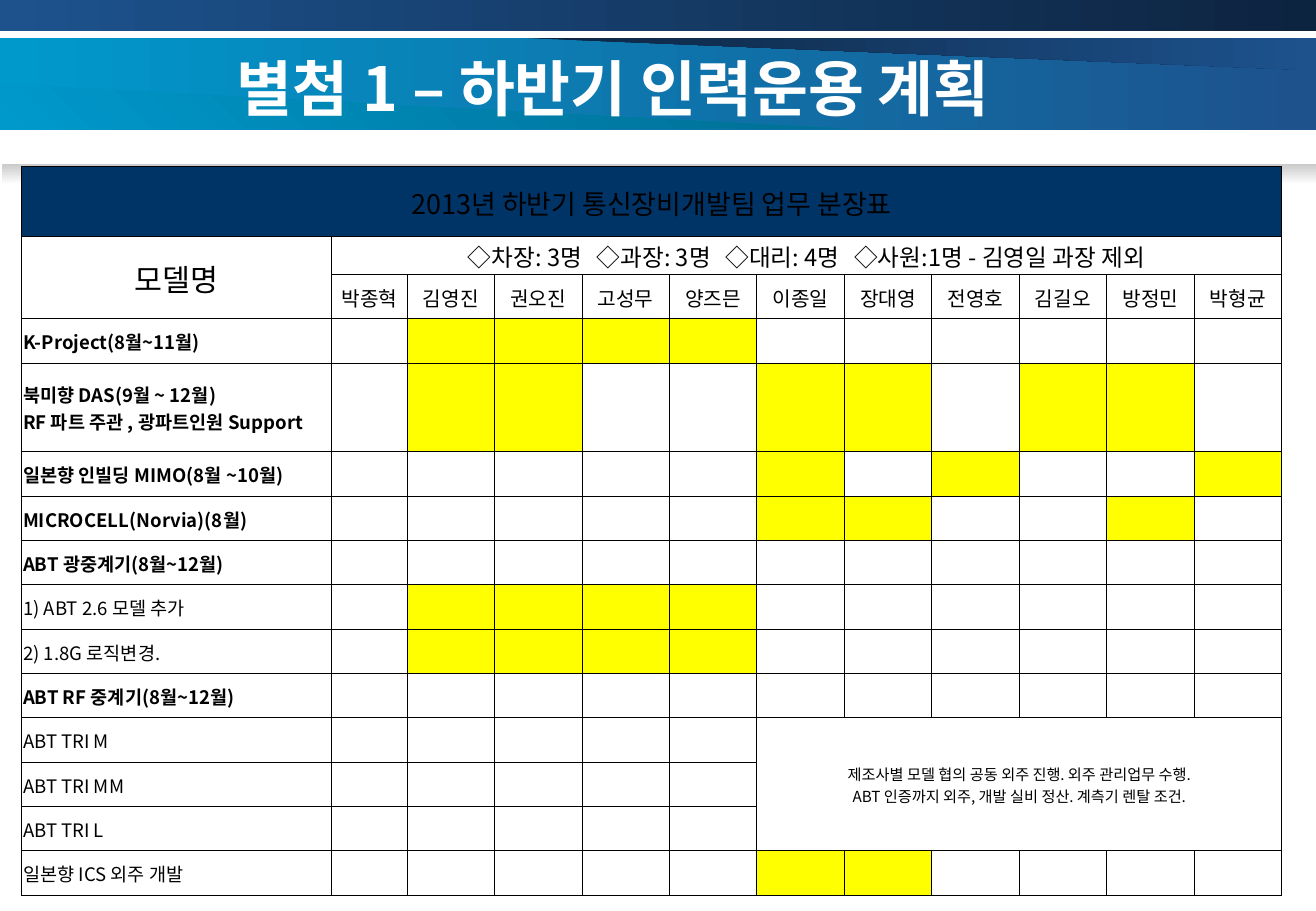
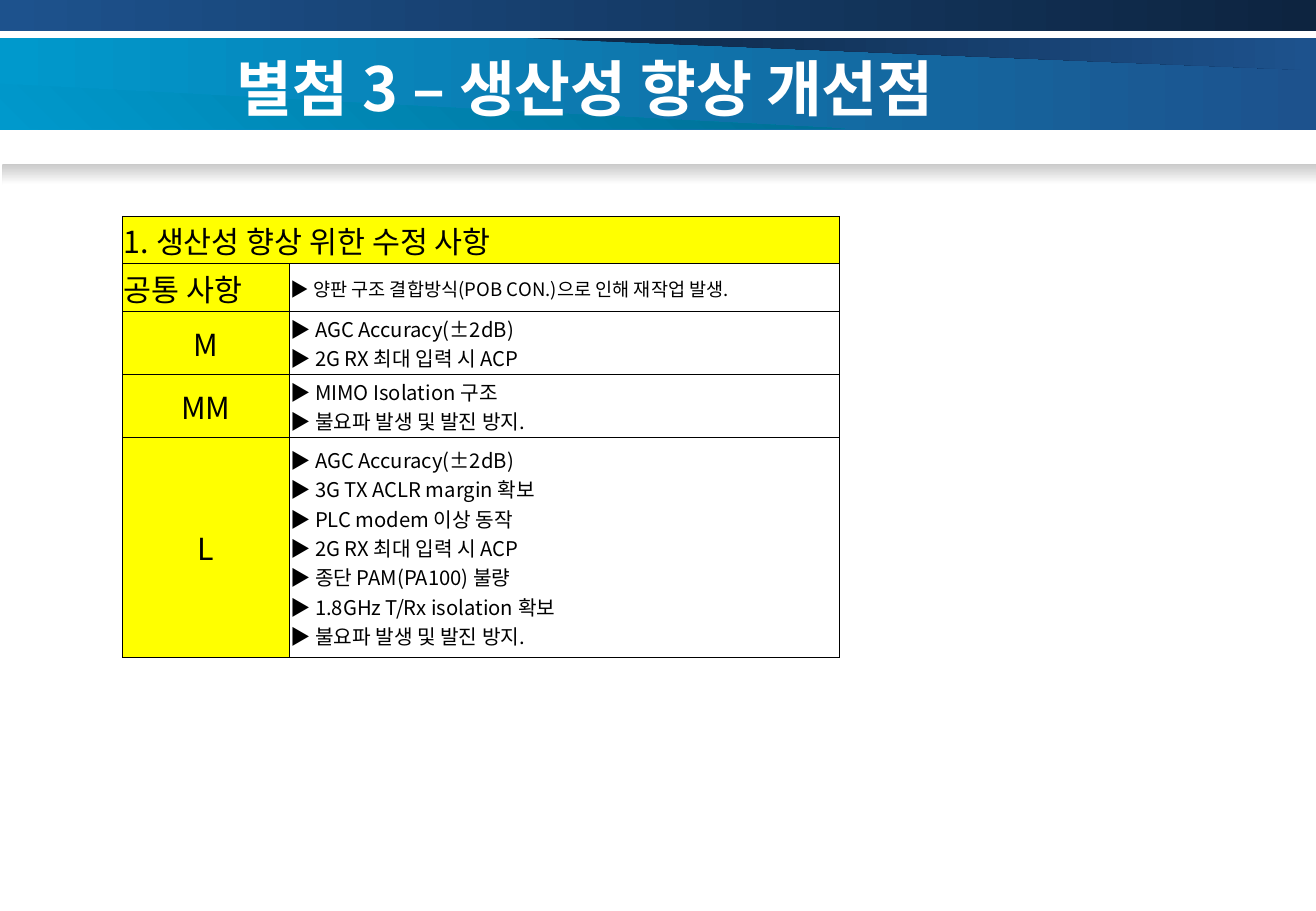
"""Build two appendix slides: a staffing plan and a list of productivity improvements."""
import lxml.etree
import pptx
import pptx.dml.color
import pptx.enum.shapes
import pptx.enum.text
import pptx.oxml.ns
import pptx.util

Inches = pptx.util.Inches
Pt = pptx.util.Pt
qn = pptx.oxml.ns.qn
ALIGN = pptx.enum.text.PP_ALIGN
MIDDLE = pptx.enum.text.MSO_ANCHOR.MIDDLE

FONT = "Noto Sans CJK KR"
COLORS = {
    "white": "FFFFFF", "black": "000000", "yellow": "FFFF00", "navy": "003366",
    "sky": "0099CC", "teal": "006D92", "blue": "1D528D", "night": "0D2440",
    "grey": "CACACA",
}

BANDS = [
    ((0, 0.31, 10.83, 0.76), "sky", "blue", 0),
    ((0, 0, 10.83, 0.26), "blue", "night", 0),
    ((0.02, 1.35, 10.81, 0.17), "grey", "white", 90),
]
WEDGES = [
    ([(4.26, 0.31), (10.83, 0.58), (10.83, 0.31)], "night", "blue", 0),
    ([(0, 0.69), (6.95, 1.06), (0, 1.06)], "sky", "teal", 315),
]

PLAN_TITLE = "별첨 1 – 하반기 인력운용 계획"
PLAN_HEADING = "2013년 하반기 통신장비개발팀 업무 분장표"
RANKS = ["◇차장: 3명", "◇과장: 3명", "◇대리: 4명", "◇사원:1명 - 김영일 과장 제외"]
STAFF = ["박종혁", "김영진", "권오진", "고성무", "양즈믄", "이종일",
         "장대영", "전영호", "김길오", "방정민", "박형균"]
PROJECTS = [
    ("K-Project(8월~11월)", True, "김영진 권오진 고성무 양즈믄"),
    ("북미향 DAS(9월 ~ 12월)\nRF 파트 주관 , 광파트인원 Support", True,
     "김영진 권오진 이종일 장대영 김길오 방정민"),
    ("일본향 인빌딩 MIMO(8월 ~10월)", True, "이종일 전영호 박형균"),
    ("MICROCELL(Norvia)(8월)", True, "이종일 장대영 방정민"),
    ("ABT 광중계기(8월~12월)", True, ""),
    ("1) ABT 2.6 모델 추가", False, "김영진 권오진 고성무 양즈믄"),
    ("2) 1.8G 로직변경.", False, "김영진 권오진 고성무 양즈믄"),
    ("ABT RF 중계기(8월~12월)", True, ""),
    ("ABT TRI M", False, ""),
    ("ABT TRI MM", False, ""),
    ("ABT TRI L", False, ""),
    ("일본향 ICS 외주 개발", False, "이종일 장대영"),
]
OUTSOURCING = ("제조사별 모델 협의 공동 외주 진행. 외주 관리업무 수행.\n"
               "ABT 인증까지 외주, 개발 실비 정산. 계측기 렌탈 조건.")

FIXES_TITLE = "별첨 3 – 생산성 향상 개선점"
FIXES_HEADING = "1. 생산성 향상 위한 수정 사항"
FIXES = [
    ("공통 사항", 0.39, 11, ALIGN.LEFT,
     ["양판 구조 결합방식(POB CON.)으로 인해 재작업 발생."]),
    ("M", 0.52, 12, ALIGN.CENTER, ["AGC Accuracy(±2dB)", "2G RX 최대 입력 시 ACP"]),
    ("MM", 0.52, 12, ALIGN.CENTER, ["MIMO Isolation 구조", "불요파 발생 및 발진 방지."]),
    ("L", 1.81, 12, ALIGN.CENTER,
     ["AGC Accuracy(±2dB)", "3G TX ACLR margin 확보", "PLC modem 이상 동작",
      "2G RX 최대 입력 시 ACP", "종단 PAM(PA100) 불량",
      "1.8GHz T/Rx isolation 확보", "불요파 발생 및 발진 방지."]),
]


def rgb(name):
    return pptx.dml.color.RGBColor.from_string(COLORS[name])


def style_paragraph(para, size, color="black", bold=False, align=ALIGN.LEFT):
    para.alignment = align
    para.font.size = Pt(size)
    para.font.bold = bold
    para.font.color.rgb = rgb(color)
    para.font.name = FONT
    defaults = para._p.pPr.find(qn("a:defRPr"))
    lxml.etree.SubElement(defaults, qn("a:ea"), typeface=FONT)
    if not para.runs:
        lxml.etree.SubElement(para._p, qn("a:endParaRPr"), sz=str(size * 100))


def paint_gradient(shape, first, last, angle):
    shape.shadow.inherit = False
    shape.line.fill.background()
    shape.fill.gradient()
    shape.fill.gradient_angle = (360 - angle) % 360
    for stop, name in zip(shape.fill.gradient_stops, (first, last)):
        stop.color.rgb = rgb(name)


def prepare_layout(deck):
    """Put the bands and the title position on the title-only layout."""
    layout = deck.slide_layouts[5]
    title, *others = layout.placeholders
    for placeholder in others:
        placeholder.element.getparent().remove(placeholder.element)
    title.left, title.top = Inches(1.41), Inches(0.36)
    title.width, title.height = Inches(8.7), Inches(0.71)
    return layout


def draw_bands(page, layout):
    """Draw the bands with the page's shape tools and move them to the layout."""
    bands = []
    for place, *gradient in BANDS:
        band = page.shapes.add_shape(
            pptx.enum.shapes.MSO_SHAPE.RECTANGLE, *map(Inches, place))
        paint_gradient(band, *gradient)
        bands.append(band)
    for points, *gradient in WEDGES:
        start, *rest = [(Inches(x), Inches(y)) for x, y in points]
        builder = page.shapes.build_freeform(*start, scale=1.0)
        builder.add_line_segments(rest, close=True)
        wedge = builder.convert_to_shape()
        paint_gradient(wedge, *gradient)
        bands.append(wedge)
    for band in bands:
        layout.element.cSld.spTree.append(band.element)


def add_page(deck, layout, title):
    page = deck.slides.add_slide(layout)
    frame = page.shapes.title.text_frame
    frame.text = title
    frame.word_wrap = True
    frame.auto_size = pptx.enum.text.MSO_AUTO_SIZE.NONE
    frame.vertical_anchor = MIDDLE
    frame.margin_left = Inches(0.54)
    frame.margin_top = frame.margin_bottom = 0
    style_paragraph(frame.paragraphs[0], 36, "white", True)
    return page


def add_grid(page, left, top, widths, heights):
    """Add a plain white table with thin black borders."""
    frame = page.shapes.add_table(len(heights), len(widths), Inches(left), Inches(top),
                                  Inches(sum(widths)), Inches(sum(heights)))
    grid = frame.table
    grid.first_row = grid.horz_banding = False
    for column, width in zip(grid.columns, widths):
        column.width = Inches(width)
    for row, height in zip(grid.rows, heights):
        row.height = Inches(height)
    for cell in grid.iter_cells():
        properties = cell._tc.get_or_add_tcPr()
        for side in "LRTB":
            line = lxml.etree.SubElement(properties, qn(f"a:ln{side}"), w=str(Pt(0.5)))
            fill = lxml.etree.SubElement(line, qn("a:solidFill"))
            lxml.etree.SubElement(fill, qn("a:srgbClr"), val=COLORS["black"])
        cell.margin_left = cell.margin_right = cell.margin_top = Inches(0.01)
        cell.margin_bottom = 0
        cell.vertical_anchor = MIDDLE
    return grid


def write_cell(cell, text="", size=11, fill="white", bold=False, align=ALIGN.LEFT):
    cell.fill.solid()
    cell.fill.fore_color.rgb = rgb(fill)
    cell.text_frame.text = text
    for para in cell.text_frame.paragraphs:
        style_paragraph(para, size, bold=bold, align=align)


def write_ranks(cell):
    """Write the ranks on one line, parted by widened single spaces."""
    write_cell(cell, RANKS[0], 14, align=ALIGN.CENTER)
    para = cell.text_frame.paragraphs[0]
    for rank in RANKS[1:]:
        gap = para.add_run()
        gap.text = " "
        gap._r.get_or_add_rPr().set("spc", "550")
        para.add_run().text = rank


def fill_plan(page):
    head_heights, tall = [0.58, 0.31], 0.73
    unit = (6 - sum(head_heights) - tall) / 12
    heights = head_heights + [unit, unit, tall] + [unit] * 10
    widths = [2.55, 0.62] + [0.72] * 10
    grid = add_grid(page, 0.18, 1.37, widths, heights)
    first_project = 3
    names = [project[0] for project in PROJECTS]
    note_top = first_project + names.index("ABT TRI M")
    note_left = 1 + STAFF.index("이종일")

    for row, (name, bold, assigned) in enumerate(PROJECTS, first_project):
        write_cell(grid.cell(row, 0), name, bold=bold)
        for column, person in enumerate(STAFF, 1):
            fill = "yellow" if person in assigned.split() else "white"
            write_cell(grid.cell(row, column), fill=fill)
    for column, person in enumerate(STAFF, 1):
        write_cell(grid.cell(2, column), person, 12, align=ALIGN.CENTER)

    last = len(STAFF)
    grid.cell(0, 0).merge(grid.cell(0, last))
    grid.cell(1, 0).merge(grid.cell(2, 0))
    grid.cell(1, 1).merge(grid.cell(1, last))
    grid.cell(note_top, note_left).merge(grid.cell(note_top + 2, last))
    write_cell(grid.cell(0, 0), PLAN_HEADING, 16, "navy", align=ALIGN.CENTER)
    write_cell(grid.cell(1, 0), "모델명", 18, align=ALIGN.CENTER)
    write_ranks(grid.cell(1, 1))
    write_cell(grid.cell(note_top, note_left), OUTSOURCING, 9, align=ALIGN.CENTER)


def fill_fixes(page):
    heights = [0.39] + [fix[1] for fix in FIXES]
    grid = add_grid(page, 1.01, 1.78, [1.37, 4.53], heights)
    grid.cell(0, 0).merge(grid.cell(0, 1))
    write_cell(grid.cell(0, 0), FIXES_HEADING, 18, "yellow")
    for row, (model, _, size, align, items) in enumerate(FIXES, 1):
        write_cell(grid.cell(row, 0), model, 18, "yellow", align=align)
        write_cell(grid.cell(row, 1), "\n".join(f"▶ {item}" for item in items), size)


def main():
    deck = pptx.Presentation()
    deck.slide_width, deck.slide_height = Inches(10.83), Inches(7.5)
    layout = prepare_layout(deck)
    plan = add_page(deck, layout, PLAN_TITLE)
    draw_bands(plan, layout)
    fill_plan(plan)
    fill_fixes(add_page(deck, layout, FIXES_TITLE))
    deck.save("out.pptx")


if __name__ == "__main__":
    main()
